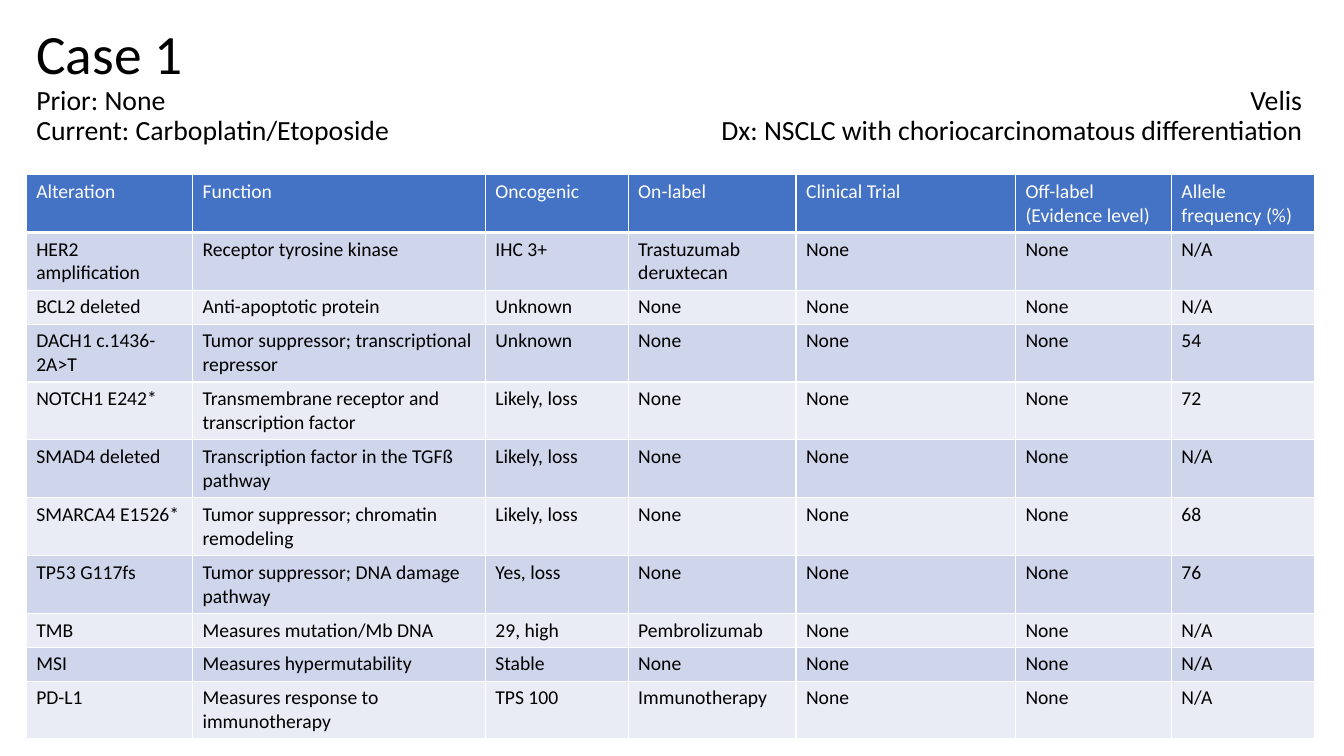
import dataclasses

import lxml.etree
import pptx
import pptx.dml.color
import pptx.enum.text
import pptx.oxml.ns
import pptx.util

Cm = pptx.util.Cm
qn = pptx.oxml.ns.qn


@dataclasses.dataclass(frozen=True)
class Theme:
    font: str = "Calibri"
    black: str = "000000"
    white: str = "FFFFFF"
    header: str = "4472C4"
    bands: tuple = ("CFD5EA", "E9EBF5")
    title_size: float = 39.6
    subtitle_size: float = 19.8
    table_size: float = 14


theme = Theme()


def write(para, text, size, color):
    span = para.add_run()
    span.text = text
    span.font.name = theme.font
    span.font.size = pptx.util.Pt(size)
    span.font.bold = False
    span.font.color.rgb = pptx.dml.color.RGBColor.from_string(color)


def add_border(cell, side, points):
    """Draw a white line on one side (L, R, T or B) of a cell; call before filling it."""
    properties = cell._tc.get_or_add_tcPr()
    line = lxml.etree.SubElement(properties, qn(f"a:ln{side}"), w=str(pptx.util.Pt(points)))
    fill = lxml.etree.SubElement(line, qn("a:solidFill"))
    lxml.etree.SubElement(fill, qn("a:srgbClr"), val=theme.white)


deck = pptx.Presentation()
deck.slide_width, deck.slide_height = Cm(33.87), Cm(19.05)
page = deck.slides.add_slide(deck.slide_layouts[5])
left, width = Cm(0.66), Cm(32.46)

# Title with case details: a right tab carries the right-hand text
title = page.shapes.title
title.left, title.top, title.width, title.height = left, Cm(0.33), width, Cm(3.68)
frame = title.text_frame
frame.word_wrap = True
frame.auto_size = pptx.enum.text.MSO_AUTO_SIZE.NONE
frame.vertical_anchor = pptx.enum.text.MSO_ANCHOR.MIDDLE
heading_lines = [
    ("Case 1", theme.title_size),
    ("Prior: None\tVelis", theme.subtitle_size),
    ("Current: Carboplatin/Etoposide\tDx: NSCLC with choriocarcinomatous differentiation",
     theme.subtitle_size),
]
for index, (text, size) in enumerate(heading_lines):
    para = frame.add_paragraph() if index else frame.paragraphs[0]
    if "\t" in text:
        tabs = lxml.etree.SubElement(para._p.get_or_add_pPr(), qn("a:tabLst"))
        lxml.etree.SubElement(tabs, qn("a:tab"), pos=str(Cm(31.9)), algn="r")
    para.alignment = pptx.enum.text.PP_ALIGN.LEFT
    para.line_spacing = 0.9
    write(para, text, size=size, color=theme.black)

# Table of alterations
rows = [
    ("Alteration", "Function", "Oncogenic", "On-label", "Clinical Trial",
     "Off-label (Evidence level)", "Allele frequency (%)"),
    ("HER2 amplification", "Receptor tyrosine kinase", "IHC 3+",
     "Trastuzumab deruxtecan", "None", "None", "N/A"),
    ("BCL2 deleted", "Anti-apoptotic protein", "Unknown", "None", "None", "None", "N/A"),
    ("DACH1 c.1436-2A>T", "Tumor suppressor; transcriptional repressor", "Unknown",
     "None", "None", "None", "54"),
    ("NOTCH1 E242*", "Transmembrane receptor and transcription factor", "Likely, loss",
     "None", "None", "None", "72"),
    ("SMAD4 deleted", "Transcription factor in the TGFß pathway", "Likely, loss",
     "None", "None", "None", "N/A"),
    ("SMARCA4 E1526*", "Tumor suppressor; chromatin remodeling", "Likely, loss",
     "None", "None", "None", "68"),
    ("TP53 G117fs", "Tumor suppressor; DNA damage pathway", "Yes, loss",
     "None", "None", "None", "76"),
    ("TMB", "Measures mutation/Mb DNA", "29, high", "Pembrolizumab", "None", "None", "N/A"),
    ("MSI", "Measures hypermutability", "Stable", "None", "None", "None", "N/A"),
    ("PD-L1", "Measures response to immunotherapy", "TPS 100", "Immunotherapy",
     "None", "None", "N/A"),
]
column_widths = [4.19, 7.38, 3.6, 4.23, 5.53, 3.93, 3.6]
table_height = Cm(14.05)
table_box = page.shapes.add_table(len(rows), len(column_widths), left, Cm(4.4), width, table_height)
table = table_box.table
for column, column_width in zip(table.columns, column_widths):
    column.width = Cm(column_width)

for row_index, values in enumerate(rows):
    table.rows[row_index].height = Cm(0.77)
    is_header = row_index == 0
    fill_color = theme.header if is_header else theme.bands[(row_index - 1) % 2]
    text_color = theme.white if is_header else theme.black
    borders = {"L": 1, "R": 1, "T": 3 if row_index == 1 else 1, "B": 3 if is_header else 1}
    for column_index, text in enumerate(values):
        cell = table.cell(row_index, column_index)
        for side, points in borders.items():
            add_border(cell, side, points)
        cell.fill.solid()
        cell.fill.fore_color.rgb = pptx.dml.color.RGBColor.from_string(fill_color)
        write(cell.text_frame.paragraphs[0], text, size=theme.table_size, color=text_color)
table_box.height = table_height

deck.save("out.pptx")
